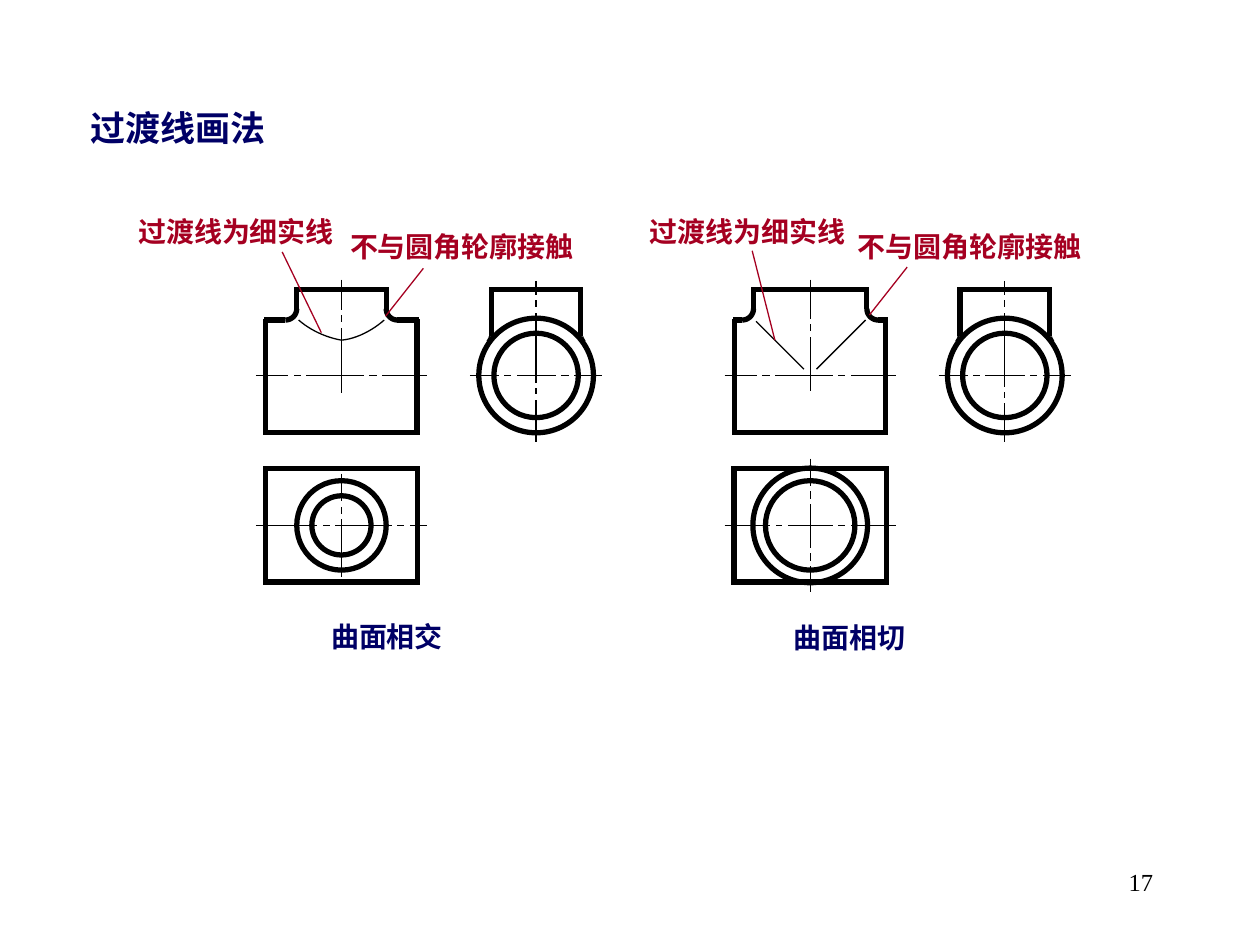
from dataclasses import dataclass

from lxml.etree import SubElement
from pptx import Presentation
from pptx.dml.color import RGBColor
from pptx.enum.shapes import MSO_CONNECTOR as Connector, MSO_SHAPE as Shape
from pptx.enum.text import MSO_AUTO_SIZE as AutoSize, PP_ALIGN as Align
from pptx.oxml.ns import qn
from pptx.util import Inches, Pt

COLORS = {"ink": "000000", "paper": "FFFFFF", "note": "A50021", "title": "000066"}
COLUMNS, ROWS = 100, 75
THIN, THICK = 0.75, 3
BODY_HALF, FILLET, SIDE_OFFSET = 6, 0.9, 15.45
NECK_TOP, NECK_END, BODY_BOTTOM = 23, 24.5, 34.3
BODY_TOP = NECK_END + FILLET
FRONT_AXIS, PLAN_AXIS = 29.8, 41.7


@dataclass
class Fitting:
    axis: float
    neck: float
    front_end: float
    front_gaps: tuple
    side_gaps: tuple
    plan_half: float
    plan_rings: tuple
    plan_gaps_x: tuple
    plan_gaps_y: tuple
    transitions: tuple
    line_leader: tuple
    corner_leader: tuple
    line_note: float
    corner_note: float
    caption: tuple


def bezier(start, first, second, end, steps=12):
    points = []
    for step in range(steps + 1):
        t = step / steps
        weights = ((1 - t) ** 3, 3 * t * (1 - t) ** 2, 3 * t * t * (1 - t), t ** 3)
        points.append(tuple(sum(w * p[i] for w, p in zip(weights, (start, first, second, end)))
                            for i in (0, 1)))
    return points


def write(frame, text, size=16, color="note", font="Arial", bold=True, align=Align.LEFT):
    paragraph = frame.paragraphs[0]
    paragraph.alignment = align
    run = paragraph.add_run()
    run.text = text
    run.font.name = font
    run.font.size = Pt(size)
    run.font.bold = bold
    run.font.color.rgb = RGBColor.from_string(COLORS[color])


class Drawing:
    def __init__(self, deck):
        self.slide = deck.slides.add_slide(deck.slide_layouts[6])
        self.column = deck.slide_width / COLUMNS
        self.row = deck.slide_height / ROWS

    def place(self, x, y):
        return round(x * self.column), round(y * self.row)

    def stroke(self, item, color, width):
        item.line.color.rgb = RGBColor.from_string(COLORS[color])
        item.line.width = Pt(width)

    def line(self, start, end, width=THICK, color="ink"):
        item = self.slide.shapes.add_connector(
            Connector.STRAIGHT, *self.place(*start), *self.place(*end))
        self.stroke(item, color, width)
        SubElement(item._element.spPr, qn("a:effectLst"))

    def outline(self, item, width=THICK):
        item.shadow.inherit = False
        item.fill.background()
        self.stroke(item, "ink", width)

    def ring(self, x, y, diameter):
        corner = self.place(x - diameter / 2, y - diameter / 2)
        self.outline(self.slide.shapes.add_shape(
            Shape.OVAL, *corner, *self.place(diameter, diameter)))

    def curve(self, points, width=THICK):
        places = [self.place(*point) for point in points]
        builder = self.slide.shapes.build_freeform(*places[0])
        builder.add_line_segments(places[1:], close=False)
        self.outline(builder.convert_to_shape(), width)

    def gaps(self, x, y, across=(), along=()):
        for dx in across:
            self.line((x + dx, y - 0.45), (x + dx, y + 0.45), color="paper")
        for row in along:
            self.line((x - 0.45, row), (x + 0.45, row), color="paper")

    def axes(self, x, y, half, top, bottom):
        self.line((x - half, y), (x + half, y), THIN)
        self.line((x, top), (x, bottom), THIN)

    def label(self, text, x, y, width, height=3.7, wrap=True, grow=True, **style):
        box = self.slide.shapes.add_textbox(*self.place(x, y), *self.place(width, height))
        box.text_frame.word_wrap = wrap
        box.text_frame.auto_size = AutoSize.SHAPE_TO_FIT_TEXT if grow else AutoSize.NONE
        write(box.text_frame, text, **style)

    def front_view(self, fitting):
        x, neck = fitting.axis, fitting.neck
        self.axes(x, FRONT_AXIS, 6.8, 22.2, fitting.front_end)
        self.line((x - neck - 0.1, NECK_TOP), (x + neck + 0.1, NECK_TOP))
        self.line((x - 6.2, BODY_BOTTOM), (x + 6.2, BODY_BOTTOM))
        for side in (-1, 1):
            wall, edge = x + side * neck, x + side * BODY_HALF
            shoulder = wall + side * FILLET
            self.line((wall, NECK_TOP - 0.2), (wall, NECK_END))
            self.line((shoulder, BODY_TOP), (edge + side * 0.15, BODY_TOP))
            self.line((edge, BODY_TOP - 0.1), (edge, BODY_BOTTOM + 0.15))
            self.curve(bezier((wall, NECK_END), (wall, NECK_END + 0.5),
                              (shoulder - side * 0.5, BODY_TOP), (shoulder, BODY_TOP)))
        self.gaps(x, FRONT_AXIS, (-4, -3, 2, 3), fitting.front_gaps)
        for points in fitting.transitions:
            placed = [(x + dx, y) for dx, y in points]
            if len(placed) == 2:
                self.line(*placed, THIN)
            else:
                self.curve(placed, THIN)

    def side_view(self, fitting):
        x, neck = fitting.axis + SIDE_OFFSET, 3.55
        self.axes(x, FRONT_AXIS, 5.25, 22.3, 35.1)
        for diameter in (9.1, 6.7):
            self.ring(x, FRONT_AXIS, diameter)
        self.line((x - neck, NECK_TOP), (x + neck, NECK_TOP))
        for side in (-1, 1):
            wall = x + side * neck
            self.line((wall, NECK_TOP - 0.2), (wall, 26.7))
            self.curve(bezier((wall, 26.7), (wall, 26.85),
                              (wall + side * 0.1, 27), (wall + side * 0.2, 27.15)))
        self.gaps(x, FRONT_AXIS, (-2.75, -1.75, 1.8, 2.8), fitting.side_gaps)

    def plan_view(self, fitting):
        x, y, half_x, half_y = fitting.axis, PLAN_AXIS, 6.05, 4.5
        self.axes(x, y, 6.8, y - fitting.plan_half, y + fitting.plan_half)
        for side in (-1, 1):
            edge_x, edge_y = x + side * half_x, y + side * half_y
            self.line((x - 6.15, edge_y), (x + 6.15, edge_y))
            self.line((edge_x, y - 4.7), (edge_x, y + 4.7))
        for diameter in fitting.plan_rings:
            self.ring(x, y, diameter)
        self.gaps(x, y, fitting.plan_gaps_x, fitting.plan_gaps_y)

    def fitting(self, fitting):
        self.front_view(fitting)
        self.side_view(fitting)
        self.plan_view(fitting)
        self.line(*fitting.line_leader, THIN, "note")
        self.line(*fitting.corner_leader, THIN, "note")
        self.label("过渡线为细实线", fitting.line_note, 16.5, 17.5, wrap=False)
        self.label("不与圆角轮廓接触", fitting.corner_note, 17.7, 30.7)
        self.label(*fitting.caption, 16.7, color="title")


INTERSECTING = Fitting(
    axis=27.1, neck=3.55, front_end=31.2, front_gaps=(24.8, 25.8),
    side_gaps=(23.6, 24.6, 30.6, 31.5), plan_half=4.1, plan_rings=(7.1, 4.7),
    plan_gaps_x=(-1.7, -0.7, 4.2, 5.2), plan_gaps_y=(40, 41),
    transitions=(bezier((-3.4, 25.4), (-2.5, 26.2), (-1.2, 26.8), (0, 27))
                 + bezier((0, 27), (1.2, 26.9), (2.5, 26.2), (3.4, 25.4))[1:],),
    line_leader=((25.5, 26.4), (22.4, 20)), corner_leader=((30.6, 25.1), (33.6, 21.3)),
    line_note=10, corner_note=26.8, caption=("曲面相交", 25.3, 48.7))

TANGENT = Fitting(
    axis=64.3, neck=4.5, front_end=31, front_gaps=(25.5, 26.5),
    side_gaps=(23.6, 24.6, 30.9, 31.8), plan_half=5.3, plan_rings=(7.1, 9.1),
    plan_gaps_x=(-2.95, -2, 2, 3), plan_gaps_y=(38.8, 39.8, 43.7, 44.7),
    transitions=(((-4.3, 25.5), (-0.5, 29.3)), ((4.4, 25.4), (0.5, 29.3))),
    line_leader=((61.5, 27), (59.7, 19.9)), corner_leader=((69, 25), (72, 21.2)),
    line_note=50.6, corner_note=67.1, caption=("曲面相切", 62, 48.8))


def main():
    deck = Presentation()
    deck.slide_width, deck.slide_height = Inches(10), Inches(7.5)
    drawing = Drawing(deck)
    drawing.label("过渡线画法", 6.2, 8, 20.4, 4.4, size=20, color="title")
    for fitting in (INTERSECTING, TANGENT):
        drawing.fitting(fitting)
    drawing.label("17", 71.7, 68.3, 20.8, 5, grow=False, size=14, color="ink",
                  font="Times New Roman", bold=False, align=Align.RIGHT)
    deck.save("out.pptx")


if __name__ == "__main__":
    main()
